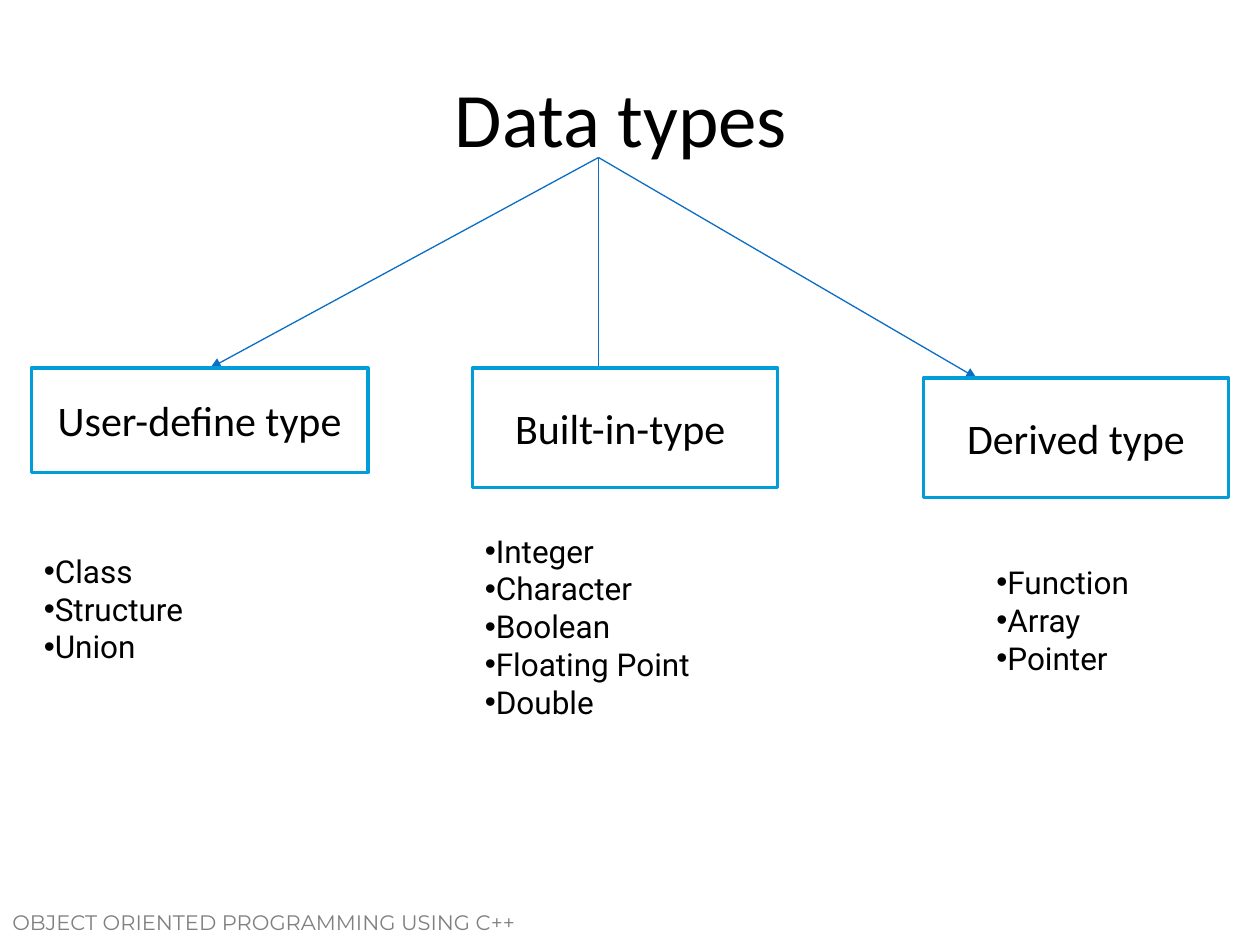
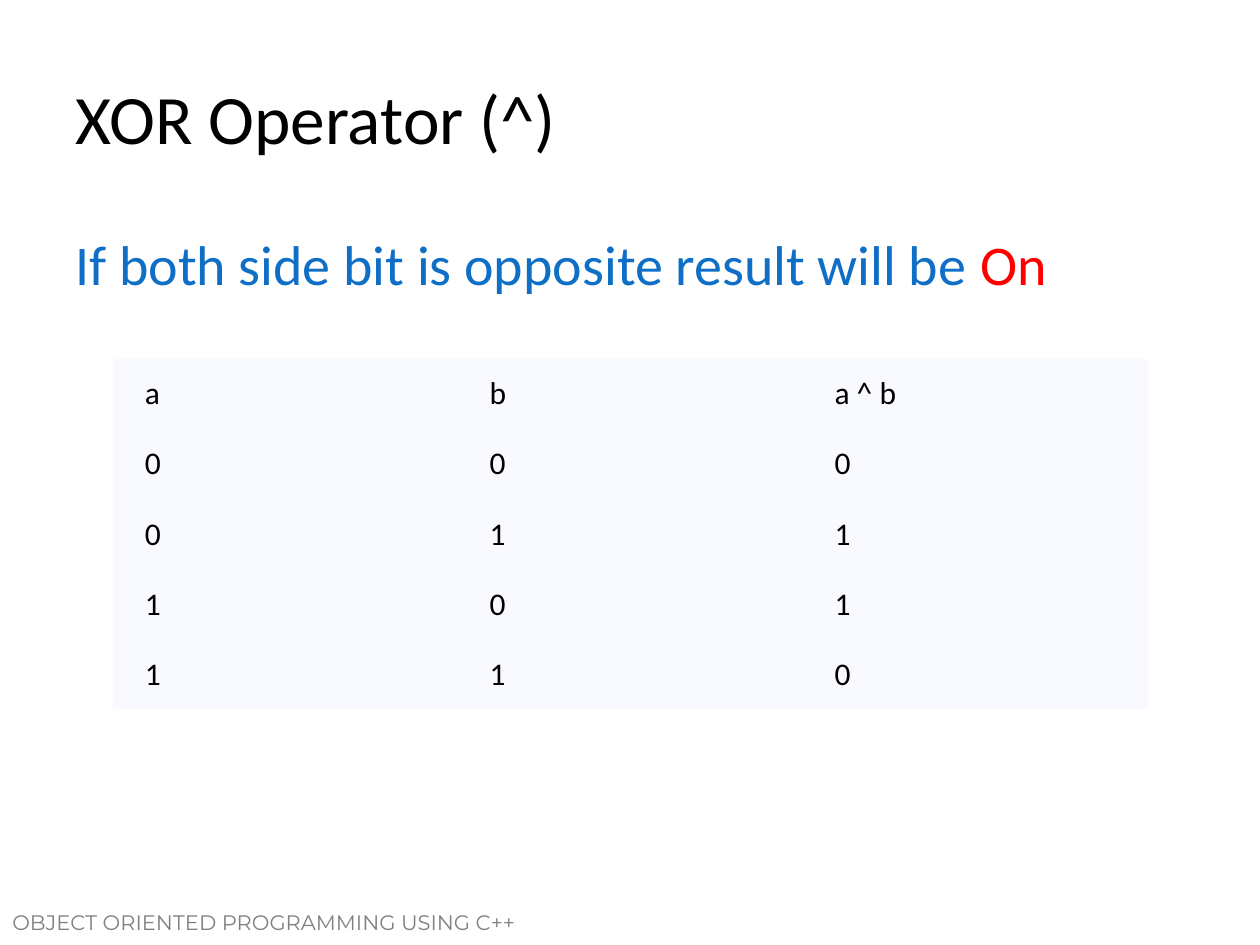
from dataclasses import dataclass

from lxml import etree
from pptx import Presentation
from pptx import util as u
from pptx.dml.color import RGBColor
from pptx.enum import shapes, text
from pptx.oxml import ns

COLORS = {
    "ink": "000000",
    "paper": "FFFFFF",
    "footer": "808080",
    "arrow": "0A6DC6",
    "border": "009DD9",
    "statement": "0F6FC6",
    "accent": "FF0000",
    "cell": "F8FAFF",
}
HEADING_FONT = "Calibri"
LIST_FONT = "Roboto"
FOOTER_FONT = "Montserrat"
FOOTER = "OBJECT ORIENTED PROGRAMMING USING C++"
PLAIN_TABLE_STYLE = "{2D5ABB26-0587-4C30-8999-92F81FD0307C}"
LEFT, CENTER = text.PP_ALIGN.LEFT, text.PP_ALIGN.CENTER
TOP, MIDDLE = text.MSO_ANCHOR.TOP, text.MSO_ANCHOR.MIDDLE


@dataclass(frozen=True)
class Area:
    left: float
    top: float
    width: float
    height: float

    def lengths(self) -> tuple:
        return tuple(map(u.Inches, (self.left, self.top, self.width, self.height)))


@dataclass(frozen=True)
class Style:
    font: str
    size: float
    color: str = "ink"


@dataclass(frozen=True)
class Category:
    name: str
    area: Area
    arrow_tip: tuple[float, float]
    members: tuple[str, ...]
    list_area: Area


ARROW_START = (4.75, 1.25)
CATEGORIES = (
    Category("User-define type", Area(0.25, 2.92, 2.67, 0.83), (1.67, 2.92),
             ("Class", "Structure", "Union"), Area(0.25, 4.33, 2, 1.62)),
    Category("Built-in-type ", Area(3.75, 2.92, 2.42, 0.95), (4.75, 3),
             ("Integer", "Character", "Boolean", "Floating Point", "Double"),
             Area(3.75, 4.17, 2, 2.22)),
    Category("Derived type", Area(7.33, 3, 2.42, 0.95), (7.75, 3),
             ("Function", "Array", "Pointer"), Area(7.81, 4.42, 2, 1.31)),
)
TRUTH_TABLE = [("a", "b", "a ^ b")] + [
    (str(a), str(b), str(a ^ b)) for a in (0, 1) for b in (0, 1)
]


def rgb(name: str) -> RGBColor:
    return RGBColor.from_string(COLORS[name])


def format_span(span, style: Style) -> None:
    span.font.name = style.font
    span.font.size = u.Pt(style.size)
    span.font.color.rgb = rgb(style.color)


def write(frame, words: str, style: Style, align=LEFT, anchor=TOP) -> None:
    frame.text = words
    frame.word_wrap = True
    frame.vertical_anchor = anchor
    for para in frame.paragraphs:
        para.alignment = align
        for span in para.runs:
            format_span(span, style)


def add_text(page, area: Area, words: str, style: Style, align=LEFT, anchor=TOP):
    box = page.shapes.add_textbox(*area.lengths())
    write(box.text_frame, words, style, align, anchor)
    return box


def add_page(deck, title: str, size: float, align):
    page = deck.slides.add_slide(deck.slide_layouts[6])
    add_text(page, Area(0, 7.17, 5, 0.42), FOOTER, Style(FOOTER_FONT, 12, "footer"))
    add_text(page, Area(0.5, 0.3, 9, 1.25), title, Style(HEADING_FONT, size), align, MIDDLE)
    return page


def add_arrow(page, start: tuple[float, float], tip: tuple[float, float]) -> None:
    arrow = page.shapes.add_connector(
        shapes.MSO_CONNECTOR.STRAIGHT, *map(u.Inches, start + tip))
    arrow.line.color.rgb = rgb("arrow")
    arrow.line.width = u.Pt(0.75)
    etree.SubElement(arrow.line._get_or_add_ln(), ns.qn("a:tailEnd"), type="triangle")
    etree.SubElement(arrow._element.spPr, ns.qn("a:effectLst"))


def add_category_box(page, category: Category) -> None:
    box = page.shapes.add_shape(shapes.MSO_SHAPE.RECTANGLE, *category.area.lengths())
    box.shadow.inherit = False
    box.fill.solid()
    box.fill.fore_color.rgb = rgb("paper")
    box.line.color.rgb = rgb("border")
    box.line.width = u.Pt(2)
    write(box.text_frame, category.name, Style(HEADING_FONT, 24), CENTER, MIDDLE)


def add_member_list(page, category: Category) -> None:
    box = add_text(page, category.list_area, "\n".join(category.members),
                   Style(LIST_FONT, 18))
    for para in box.text_frame.paragraphs:
        properties = para._p.get_or_add_pPr()
        etree.SubElement(properties, ns.qn("a:buFont"), typeface="Arial")
        etree.SubElement(properties, ns.qn("a:buChar"), char="•")


def add_truth_table(page, area: Area, rows: list[tuple[str, ...]]) -> None:
    table = page.shapes.add_table(len(rows), len(rows[0]), *area.lengths()).table
    table.first_row = False
    table.horz_banding = False
    table._tbl.tblPr.find(ns.qn("a:tableStyleId")).text = PLAIN_TABLE_STYLE
    for row, values in enumerate(rows):
        for column, value in enumerate(values):
            cell = table.cell(row, column)
            cell.fill.solid()
            cell.fill.fore_color.rgb = rgb("cell")
            cell.margin_left = cell.margin_right = u.Inches(0.25)
            cell.margin_top = cell.margin_bottom = u.Inches(0.12)
            cell.vertical_anchor = MIDDLE
            write(cell.text_frame, value, Style(HEADING_FONT, 18))


def build_data_types(deck) -> None:
    page = add_page(deck, "Data types ", 44, CENTER)
    for category in CATEGORIES:
        add_arrow(page, ARROW_START, category.arrow_tip)
    for category in CATEGORIES:
        add_category_box(page, category)
        add_member_list(page, category)


def build_xor_operator(deck) -> None:
    page = add_page(deck, "XOR Operator (^)", 39.6, LEFT)
    statement = add_text(page, Area(0.5, 1.77, 9, 0.8),
                         "If both side bit is opposite result will be ",
                         Style(HEADING_FONT, 32, "statement"))
    result = statement.text_frame.paragraphs[0].add_run()
    result.text = "On"
    format_span(result, Style(HEADING_FONT, 32, "accent"))
    add_truth_table(page, Area(0.9, 2.85, 8.21, 2.78), TRUTH_TABLE)


def main() -> None:
    deck = Presentation()
    deck.slide_width = u.Inches(10)
    deck.slide_height = u.Inches(7.5)
    build_data_types(deck)
    build_xor_operator(deck)
    deck.save("out.pptx")


if __name__ == "__main__":
    main()
